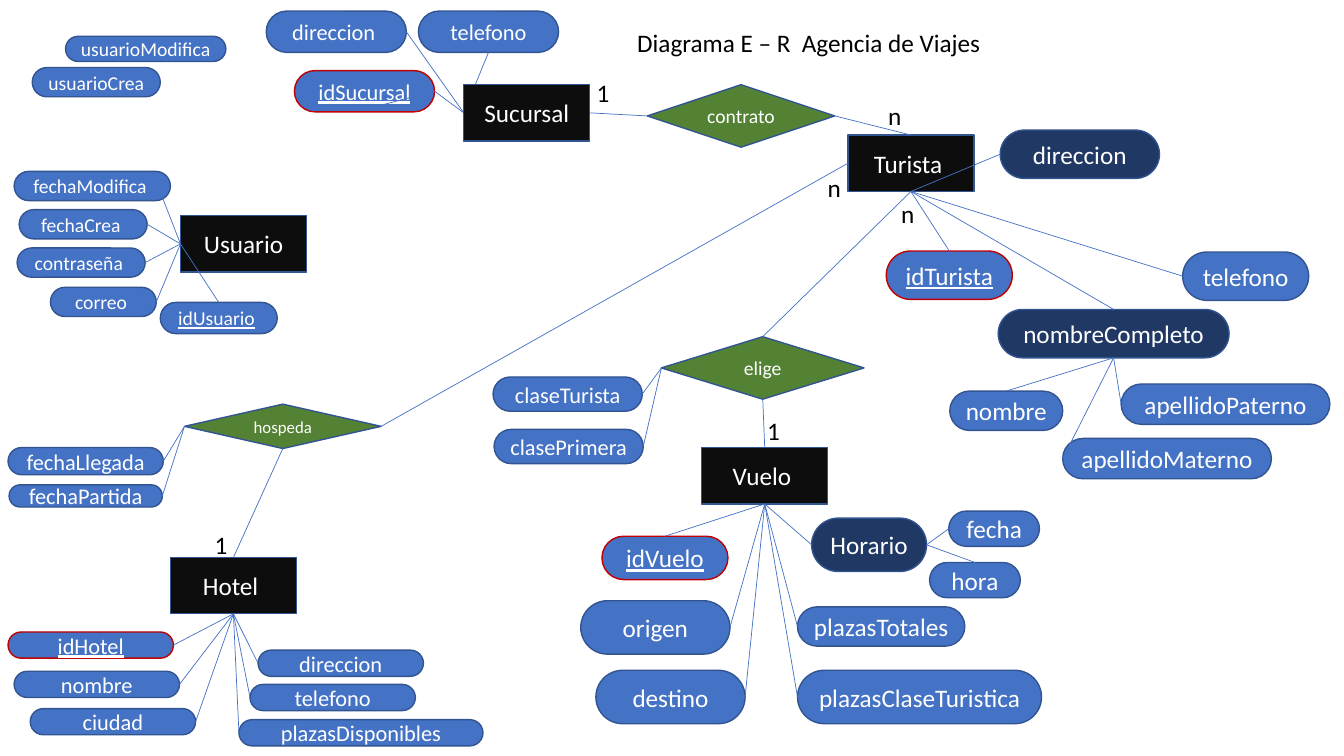
from lxml.etree import SubElement
from pptx import Presentation
from pptx.dml.color import RGBColor
from pptx.enum.shapes import MSO_CONNECTOR, MSO_SHAPE
from pptx.enum.text import MSO_ANCHOR, MSO_AUTO_SIZE, PP_ALIGN
from pptx.oxml.ns import qn
from pptx.util import Inches, Pt

CELL = 0.1
TOP, LEFT, BOTTOM, RIGHT = range(4)
OUTLINE, KEY_OUTLINE = "325491", "C00000"

STYLES = {
    "entity": (MSO_SHAPE.RECTANGLE, "0D0D0D", OUTLINE, False),
    "relation": (MSO_SHAPE.DIAMOND, "548235", OUTLINE, False),
    "attribute": (MSO_SHAPE.ROUNDED_RECTANGLE, "4472C4", OUTLINE, False),
    "composite": (MSO_SHAPE.ROUNDED_RECTANGLE, "203864", OUTLINE, False),
    "key": (MSO_SHAPE.ROUNDED_RECTANGLE, "4472C4", KEY_OUTLINE, True),
    "plain key": (MSO_SHAPE.ROUNDED_RECTANGLE, "4472C4", OUTLINE, True),
}

ENTITIES = {
    "Hotel ": (16.9, 55.3),
    "Vuelo ": (69.6, 44.4),
    "Turista ": (84.1, 13.4),
    "Sucursal": (46, 8.4),
    "Usuario": (17.9, 21.4),
}

RELATIONS = {
    "contrato": (14, (64.2, 8.4, 18.6, 6.2), [(RIGHT, "Turista", TOP), (LEFT, "Sucursal", RIGHT)]),
    "hospeda": (12, (18.3, 40.1, 19.5, 4.4), [(RIGHT, "Turista", LEFT), (BOTTOM, "Hotel", TOP)]),
    "elige": (14, (65.6, 33.4, 20.1, 6.2), [(BOTTOM, "Vuelo", TOP), (TOP, "Turista", BOTTOM)]),
}

ATTRIBUTES = [
    ("Sucursal", LEFT, 16, [
        ("direccion ", (26.4, 1.1, 13.9, 4.1), "attribute", RIGHT),
        ("idSucursal", (29.2, 7, 13.9, 4.1), "key", RIGHT),
        ("telefono", (41.5, 1.1, 13.9, 4.1), "attribute", BOTTOM),
    ]),
    ("Hotel", BOTTOM, 16, [
        ("idHotel", (0.8, 62.7, 16.4, 2.6), "key", RIGHT),
        ("nombre", (1.4, 66.6, 16.4, 2.6), "attribute", RIGHT),
        ("ciudad", (3, 70.3, 16.4, 2.6), "attribute", RIGHT),
        ("direccion", (25.6, 64.5, 16.4, 2.6), "attribute", LEFT),
        ("telefono", (24.8, 67.9, 16.4, 2.6), "attribute", LEFT),
        ("plazasDisponibles", (23.7, 71.4, 24.2, 2.6), "attribute", LEFT),
    ]),
    ("Vuelo", BOTTOM, 18, [
        ("idVuelo", (59.7, 53.2, 12.5, 4.3), "key", TOP),
        ("Horario", (80.5, 51.4, 11.4, 5.3), "composite", LEFT),
        ("origen", (57.6, 59.6, 14.8, 5.3), "attribute", RIGHT),
        ("destino", (59.1, 66.5, 14.8, 5.3), "attribute", RIGHT),
        ("plazasTotales", (79.1, 60.2, 16.6, 3.9), "attribute", LEFT),
        ("plazasClaseTuristica", (79.1, 66.5, 24.2, 5.3), "attribute", LEFT),
    ]),
    ("Horario", RIGHT, 18, [
        ("hora", (92.2, 55.8, 9, 3.5), "attribute", TOP),
        ("fecha", (94.1, 50.7, 9, 3.5), "attribute", LEFT),
    ]),
    ("Turista", BOTTOM, 18, [
        ("idTurista", (87.9, 24.9, 12.5, 4.8), "key", TOP),
        ("nombreCompleto", (99, 30.7, 22.9, 4.8), "composite", TOP),
        ("direccion", (99.2, 12.9, 15.8, 4.8), "composite", LEFT),
        ("telefono", (117.3, 25, 12.5, 4.8), "attribute", LEFT),
    ]),
    ("nombreCompleto", BOTTOM, 18, [
        ("apellidoPaterno", (111.2, 38.1, 20.7, 4), "attribute", LEFT),
        ("apellidoMaterno", (105.4, 43.5, 20.7, 4), "attribute", LEFT),
        ("nombre", (94.2, 38.8, 11.2, 3.9), "attribute", TOP),
    ]),
    ("elige", LEFT, 16, [
        ("claseTurista", (48.9, 37.4, 14.8, 3.4), "attribute", RIGHT),
        ("clasePrimera", (49, 42.6, 14.8, 3.4), "attribute", RIGHT),
    ]),
    ("hospeda", LEFT, 16, [
        ("fechaLlegada", (0.8, 44.4, 15.4, 2.7), "attribute", RIGHT),
        ("fechaPartida", (0.9, 48.1, 15.2, 2.2), "attribute", RIGHT),
    ]),
    ("Usuario", LEFT, 14, [
        ("idUsuario ", (15.9, 30, 11.6, 3.1), "plain key", TOP),
        ("correo ", (5, 28.5, 10.5, 2.9), "attribute", RIGHT),
        ("contraseña ", (1.7, 24.6, 12.7, 2.9), "attribute", RIGHT),
        ("fechaCrea ", (1.9, 20.8, 12.7, 2.9), "attribute", RIGHT),
        ("fechaModifica ", (1.4, 17, 15.5, 2.9), "attribute", None),
        ("usuarioCrea ", (3.2, 6.7, 12.7, 2.9), "attribute", None),
        ("usuarioModifica ", (6.5, 3.6, 15.9, 2.5), "attribute", None),
    ]),
]

CARDINALITIES = [
    ("n", 87.1, 9.5), ("n", 88.4, 19.2), ("n", 81.1, 16.6),
    ("1", 20.3, 52), ("1", 75.1, 40.7), ("1", 58.2, 7.2),
]


def color(value):
    """Turn a hex string into a colour."""
    return RGBColor.from_string(value)


def assign(target, values):
    """Set every attribute named in the dict."""
    for name, value in values.items():
        setattr(target, name, value)


class Diagram:
    """Entity-relationship diagram drawn on a grid of cells."""

    def __init__(self, slide, font="Calibri"):
        """Keep the slide, the font and the named nodes."""
        self.slide, self.font, self.nodes = slide, font, {}

    def grid(self, *cells):
        """Convert grid cells to lengths."""
        return [Inches(cell * CELL) for cell in cells]

    def add_text(self, shape, text, size, ink, underline=False):
        """Fill one paragraph, leaving trailing space without underline."""
        paragraph = shape.text_frame.paragraphs[0]
        word = text.rstrip()
        for part, underlined in ((word, underline), (text[len(word):], False)):
            if part:
                run = paragraph.add_run()
                run.text = part
                assign(run.font, {"name": self.font, "size": Pt(size), "underline": underlined})
                run.font.color.rgb = color(ink)
        return paragraph

    def title(self, text, box):
        """Place and format the slide title."""
        shape = self.slide.shapes.title
        assign(shape, dict(zip(("left", "top", "width", "height"), self.grid(*box))))
        assign(shape.text_frame, {"vertical_anchor": MSO_ANCHOR.TOP, "word_wrap": True,
                                  "auto_size": MSO_AUTO_SIZE.SHAPE_TO_FIT_TEXT})
        self.add_text(shape, text, 18, "000000").alignment = PP_ALIGN.LEFT

    def label(self, text, left, top):
        """Add a cardinality label."""
        shape = self.slide.shapes.add_textbox(*self.grid(left, top, 4, 4))
        assign(shape.text_frame, {"word_wrap": True, "auto_size": MSO_AUTO_SIZE.SHAPE_TO_FIT_TEXT})
        self.add_text(shape, text, 18, "000000")

    def node(self, text, box, style, size):
        """Add an entity, relation or attribute."""
        preset, fill, outline, underline = STYLES[style]
        shape = self.slide.shapes.add_shape(preset, *self.grid(*box))
        if preset == MSO_SHAPE.ROUNDED_RECTANGLE:
            shape.adjustments[0] = 0.5
        shape.shadow.inherit = False
        shape.fill.solid()
        shape.fill.fore_color.rgb = color(fill)
        shape.line.color.rgb = color(outline)
        shape.line.width = Pt(1)
        shape.text_frame.vertical_anchor = MSO_ANCHOR.MIDDLE
        self.add_text(shape, text, size, "FFFFFF", underline).alignment = PP_ALIGN.CENTER
        self.nodes[text.strip()] = shape
        return shape

    def link(self, begin, end):
        """Join two ends, each a shape with its side or a grid point."""
        points = [(0, 0) if hasattr(first, "text_frame") else (first, second)
                  for first, second in (begin, end)]
        line = self.slide.shapes.add_connector(
            MSO_CONNECTOR.STRAIGHT, *self.grid(*points[0], *points[1]))
        for (first, side), connect in ((begin, line.begin_connect), (end, line.end_connect)):
            if hasattr(first, "text_frame"):
                connect(first, side)
        line.line.color.rgb = color("4472C4")
        line.line.width = Pt(0.5)
        SubElement(line.element.spPr, qn("a:effectLst"))

    def bring_to_front(self, name):
        """Move a node above everything drawn so far."""
        element = self.nodes[name].element
        element.getparent().append(element)


def main():
    """Build the slide and save it."""
    presentation = Presentation()
    assign(presentation, {"slide_width": Inches(13.33), "slide_height": Inches(7.5)})
    diagram = Diagram(presentation.slides.add_slide(presentation.slide_layouts[5]))
    diagram.title("Diagrama E – R  Agencia de Viajes", (62.2, 2.2, 56.2, 4))
    for name, corner in ENTITIES.items():
        diagram.node(name, (*corner, 12.5, 5.6), "entity", 18)
    for name, (size, box, links) in RELATIONS.items():
        relation = diagram.node(name, box, "relation", size)
        for side, entity, entity_side in links:
            diagram.link((relation, side), (diagram.nodes[entity], entity_side))
    for owner_name, owner_side, size, attributes in ATTRIBUTES:
        owner = diagram.nodes[owner_name]
        for name, box, style, side in attributes:
            attribute = diagram.node(name, box, style, size)
            if side is not None:
                diagram.link((attribute, side), (owner, owner_side))
    diagram.link((15.3, 17.5), (diagram.nodes["Usuario"], LEFT))
    diagram.link((diagram.nodes["idSucursal"], RIGHT), (36.8, 10.7))
    diagram.bring_to_front("Sucursal")
    for cardinality in CARDINALITIES:
        diagram.label(*cardinality)
    presentation.save("out.pptx")


if __name__ == "__main__":
    main()
